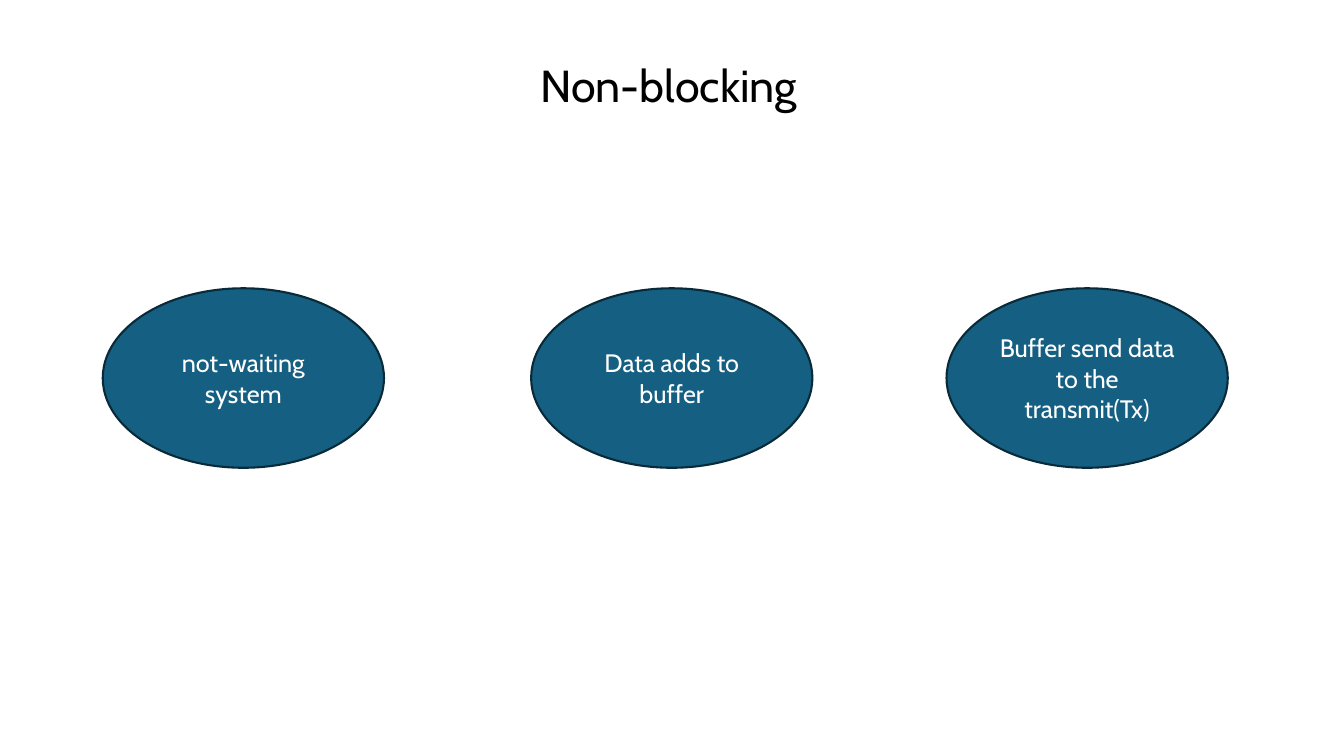
"""Build the Non-blocking slide: a title above three ellipses."""
from pptx import Presentation
from pptx.dml.color import RGBColor
from pptx.enum.shapes import MSO_SHAPE
from pptx.enum.text import MSO_ANCHOR, MSO_AUTO_SIZE, PP_ALIGN
from pptx.util import Pt

OVAL = MSO_SHAPE.OVAL
TOP, MIDDLE = MSO_ANCHOR.TOP, MSO_ANCHOR.MIDDLE
LEFT, CENTER = PP_ALIGN.LEFT, PP_ALIGN.CENTER
FIT_SHAPE = MSO_AUTO_SIZE.SHAPE_TO_FIT_TEXT

TITLE = "Non-blocking"
STEPS = [
    (73.4, "not-waiting system"),
    (379.4, "Data adds to buffer"),
    (676.1, "Buffer send data to the transmit(Tx)"),
]
STEP_TOP, STEP_WIDTH, STEP_HEIGHT = 205.9, 200.9, 128.2
FONT = "Cabin"


def color(value):
    return RGBColor.from_string(value)


def place(shape, left, top, width, height):
    shape.left, shape.top = Pt(left), Pt(top)
    shape.width, shape.height = Pt(width), Pt(height)


def write(shape, text, size, text_color, alignment, anchor):
    frame = shape.text_frame
    frame.text = text
    frame.vertical_anchor = anchor
    paragraph = frame.paragraphs[0]
    paragraph.alignment = alignment
    font = paragraph.runs[0].font
    font.name, font.size = FONT, Pt(size)
    font.color.rgb = color(text_color)


def add_step(slide, left, text):
    shape = slide.shapes.add_shape(
        OVAL, Pt(left), Pt(STEP_TOP), Pt(STEP_WIDTH), Pt(STEP_HEIGHT))
    shape.shadow.inherit = False
    shape.fill.solid()
    shape.fill.fore_color.rgb = color("156082")
    shape.line.color.rgb = color("092A39")
    shape.line.width = Pt(1.5)
    write(shape, text, 18, "FFFFFF", CENTER, MIDDLE)


def main():
    presentation = Presentation()
    presentation.slide_width, presentation.slide_height = Pt(960), Pt(540)
    slide = presentation.slides.add_slide(presentation.slide_layouts[5])
    title = slide.shapes.title
    place(title, 378.7, 37.4, 202.3, 46.1)
    write(title, TITLE, 32, "000000", LEFT, TOP)
    title.text_frame.word_wrap = False
    title.text_frame.auto_size = FIT_SHAPE
    for left, text in STEPS:
        add_step(slide, left, text)
    presentation.save("out.pptx")


if __name__ == "__main__":
    main()
